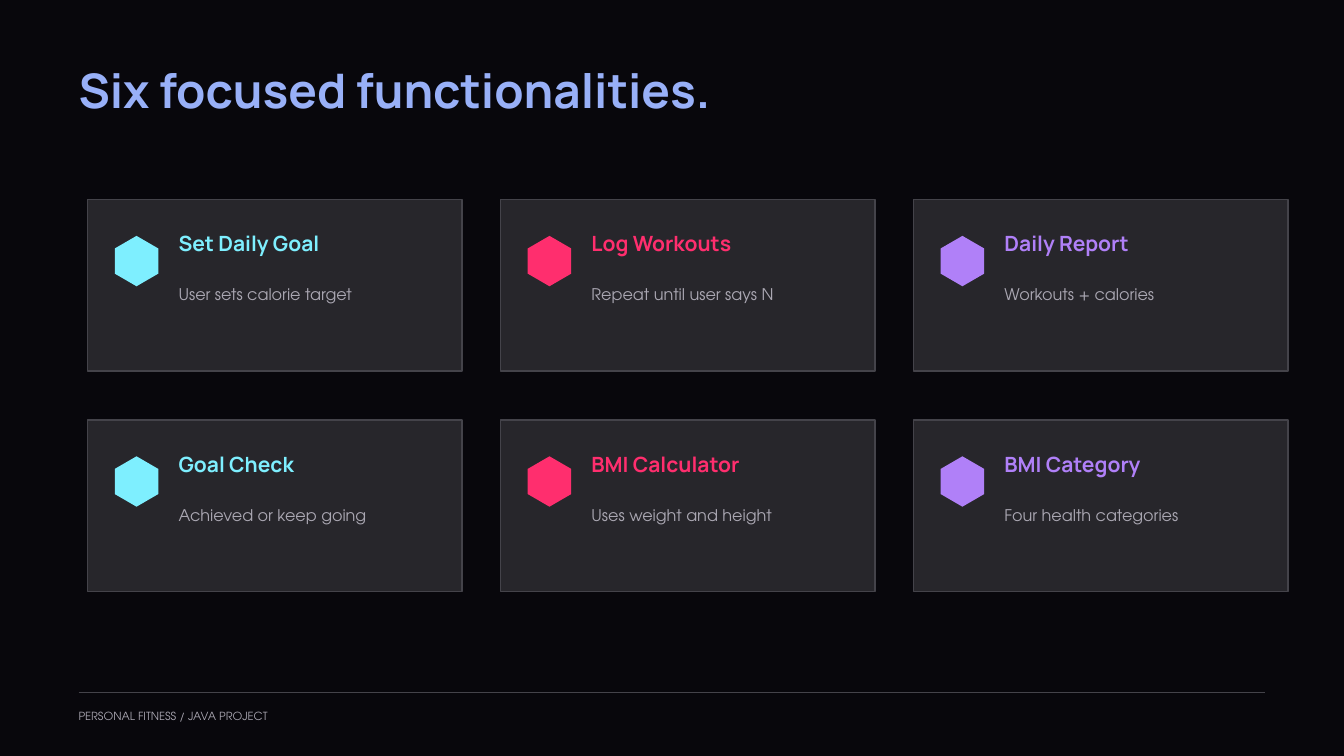
from lxml import etree
from pptx import Presentation
from pptx import util as u
from pptx.dml import color
from pptx.enum import shapes, text
from pptx.oxml import ns

HEADING_FONT = "Manrope"
BODY_FONT = "TeX Gyre Adventor"
BACKGROUND, PANEL, BORDER, MUTED = "08070C", "27262B", "44434A", "AAA7B2"
CYAN, PINK, PURPLE, BLUE = "7EEFFF", "FF2E6E", "B080F8", "98B0F8"

CARDS = [
    ("Set Daily Goal", "User sets calorie target"),
    ("Log Workouts", "Repeat until user says N"),
    ("Daily Report", "Workouts + calories"),
    ("Goal Check", "Achieved or keep going"),
    ("BMI Calculator", "Uses weight and height"),
    ("BMI Category", "Four health categories"),
]
ACCENTS = [CYAN, PINK, PURPLE]


def paint(target, hex_color):
    if hasattr(target, "solid"):
        target.solid()
        target = target.fore_color
    target.rgb = color.RGBColor.from_string(hex_color)


def write(shape, words, font, size, hex_color, spacing, bold=False):
    frame = shape.text_frame
    frame.margin_left = frame.margin_right = 0
    frame.margin_top = frame.margin_bottom = 0
    frame.word_wrap = True
    frame.auto_size = text.MSO_AUTO_SIZE.NONE
    frame.vertical_anchor = text.MSO_ANCHOR.TOP
    para = frame.paragraphs[0]
    para.alignment = text.PP_ALIGN.LEFT
    para.line_spacing = u.Pt(spacing)
    span = para.add_run()
    span.text = words
    span.font.name = font
    span.font.size = u.Pt(size)
    span.font.bold = bold
    paint(span.font.color, hex_color)


def add_text(parent, left, top, width, height, *style, **options):
    box = parent.add_textbox(u.Pt(left), u.Pt(top), u.Pt(width), u.Pt(height))
    write(box, *style, **options)


def add_title(page, left, top, width, height):
    title = page.shapes.title
    title.left, title.top = u.Pt(left), u.Pt(top)
    title.width, title.height = u.Pt(width), u.Pt(height)
    write(title, "Six focused functionalities.", HEADING_FONT, 51, BLUE, 53.5, bold=True)


def add_hexagon(parent, left, top, width, height, accent):
    corners = [(0.5, 0), (1, 0.25), (1, 0.75), (0.5, 1), (0, 0.75), (0, 0.25)]
    points = [(u.Pt(left + x * width), u.Pt(top + y * height)) for x, y in corners]
    builder = parent.build_freeform(*points[0])
    builder.add_line_segments(points[1:], close=True)
    hexagon = builder.convert_to_shape()
    hexagon.shadow.inherit = False
    paint(hexagon.fill, accent)
    hexagon.line.fill.background()


def add_card(page, left, top, width, height, heading, detail, accent):
    parts = page.shapes.add_group_shape().shapes
    panel = parts.add_shape(shapes.MSO_SHAPE.RECTANGLE, u.Pt(left), u.Pt(top),
                            u.Pt(width), u.Pt(height))
    panel.shadow.inherit = False
    paint(panel.fill, PANEL)
    paint(panel.line.fill, BORDER)
    panel.line.width = u.Pt(1.5)
    add_hexagon(parts, left + 29.2, top + 38.9, 46.6, 54, accent)
    add_text(parts, left + 97.5, top + 36.7, 285, 26,
             heading, HEADING_FONT, 22.5, accent, 23.6, bold=True)
    add_text(parts, left + 97.5, top + 88.5, 292, 21.6,
             detail, BODY_FONT, 17.2, MUTED, 23.3)


def add_card_grid(page, left, top, width, height, columns=3, rows=2):
    card_width, card_height = 401.3, 183.6
    step_x = (width - card_width) / (columns - 1)
    step_y = (height - card_height) / (rows - 1)
    for index, (heading, detail) in enumerate(CARDS):
        row, column = divmod(index, columns)
        add_card(page, left + column * step_x, top + row * step_y,
                 card_width, card_height, heading, detail, ACCENTS[column])


def add_footer(page, left, top, width):
    rule = page.shapes.add_connector(shapes.MSO_CONNECTOR.STRAIGHT, u.Pt(left), u.Pt(top),
                                     u.Pt(left + width), u.Pt(top))
    paint(rule.line.fill, BORDER)
    rule.line.width = u.Pt(0.75)
    etree.SubElement(rule._element.spPr, ns.qn("a:effectLst"))
    add_text(page.shapes, left, top + 15.8, 390, 14.4,
             "PERSONAL FITNESS / JAVA PROJECT", BODY_FONT, 12, MUTED, 16.2)


def main():
    deck = Presentation()
    deck.slide_width, deck.slide_height = u.Pt(1440), u.Pt(810)
    page = deck.slides.add_slide(deck.slide_layouts[5])
    paint(page.background.fill, BACKGROUND)
    add_footer(page, 84.2, 742.3, 1271.6)
    add_title(page, 84.2, 72.7, 900, 59)
    add_card_grid(page, 93.8, 213.8, 1286.2, 419.8)
    deck.save("out.pptx")


if __name__ == "__main__":
    main()
